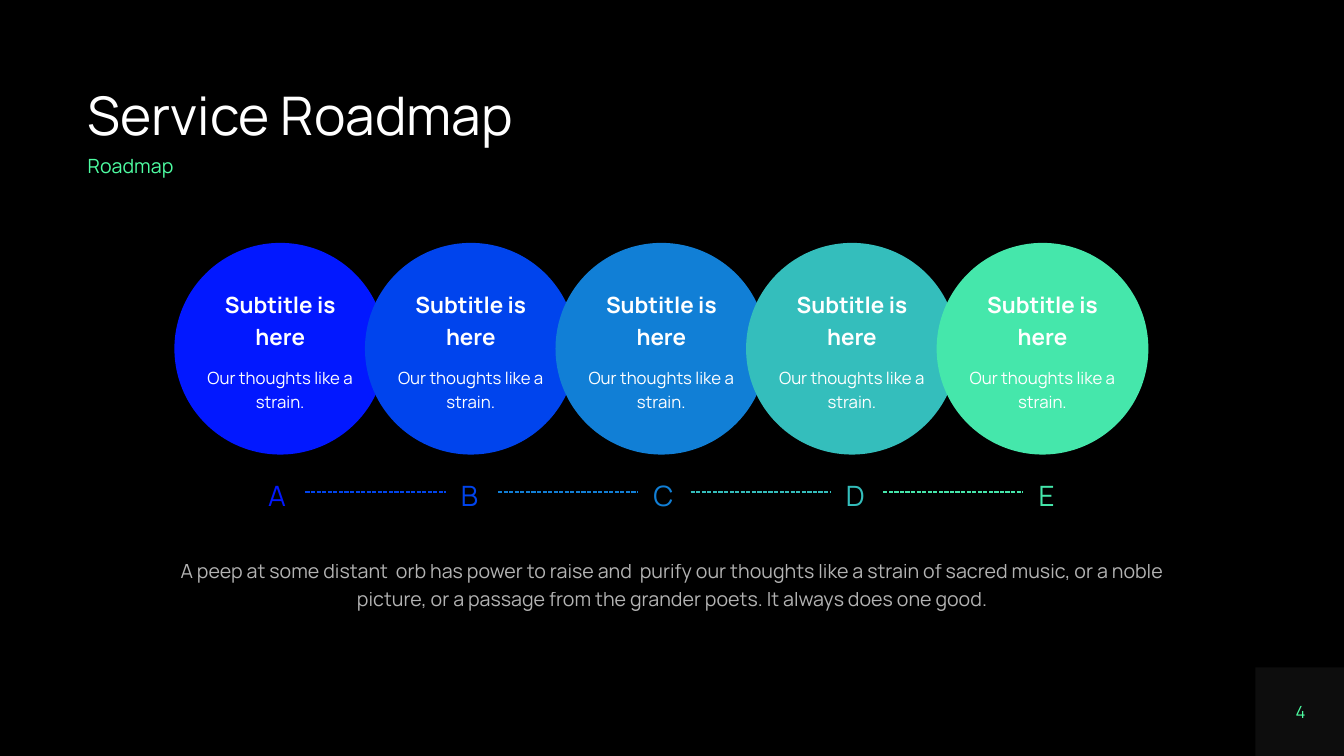
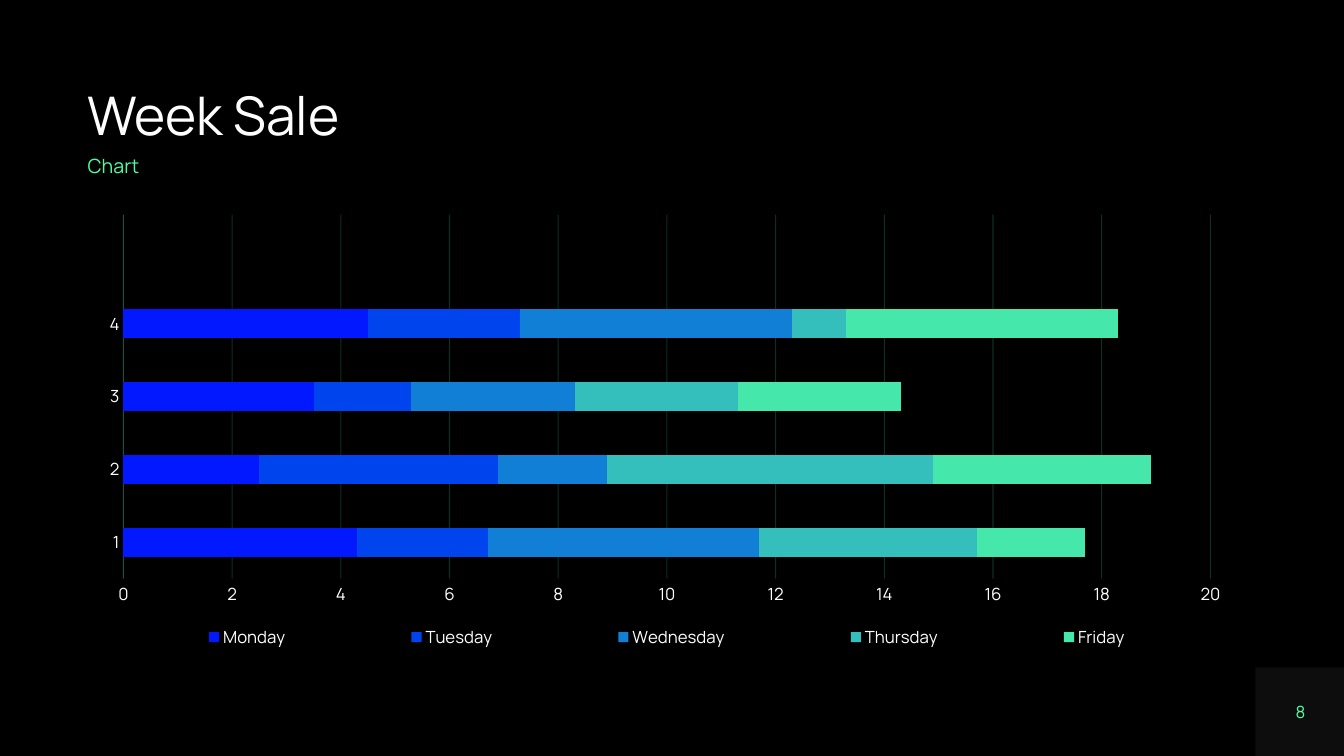
from lxml import etree
from pptx import Presentation
from pptx.chart.data import CategoryChartData
from pptx.dml.color import RGBColor
from pptx.enum.chart import XL_CHART_TYPE, XL_LEGEND_POSITION, XL_TICK_MARK
from pptx.enum.dml import MSO_LINE
from pptx.enum.shapes import MSO_CONNECTOR, MSO_SHAPE
from pptx.enum.text import MSO_ANCHOR, PP_ALIGN
from pptx.oxml.ns import qn
from pptx.util import Inches, Pt

FONT = "Manrope"
BLACK = RGBColor(0x00, 0x00, 0x00)
WHITE = RGBColor(0xFF, 0xFF, 0xFF)
GRAY = RGBColor(0x80, 0x80, 0x80)
ACCENT = RGBColor(0x4E, 0xFD, 0xA2)
MINT = RGBColor(0x45, 0xE7, 0xAB)
SCALE = [RGBColor(0x02, 0x18, 0xFF), RGBColor(0x00, 0x44, 0xED),
         RGBColor(0x11, 0x7F, 0xD6), RGBColor(0x34, 0xBE, 0xBC), MINT]
LEFT, CENTER = PP_ALIGN.LEFT, PP_ALIGN.CENTER
TOP, MIDDLE = MSO_ANCHOR.TOP, MSO_ANCHOR.MIDDLE
NO_TICK = XL_TICK_MARK.NONE

WIDTH, HEIGHT = 13.33, 7.5
MARGIN = 0.87
BADGE = 0.88

STEPS = [(letter, "Subtitle is here", "Our thoughts like a strain.") for letter in "ABCDE"]
SUMMARY = ("A peep at some distant  orb has power to raise and  purify our thoughts "
           "like a strain of sacred music, or a noble picture, or a passage from the "
           "grander poets. It always does one good.")
CIRCLE, CIRCLE_LEFT, CIRCLE_TOP, CIRCLE_STEP = 2.1, 1.73, 2.41, 1.89
LETTER_LEFT, LETTER_TOP, LETTER_STEP = 2.66, 4.68, 1.91
DASH_OFFSET, DASH_LENGTH, DASH_TOP = 0.37, 1.39, 4.88

WEEKS = ["1", "2", "3", "4", ""]
SALES = {
    "Monday": [4.3, 2.5, 3.5, 4.5, None],
    "Tuesday": [2.4, 4.4, 1.8, 2.8, None],
    "Wednesday": [5, 2, 3, 5, None],
    "Thursday": [4, 6, 3, 1, None],
    "Friday": [2, 4, 3, 5, None],
}


def inches(*lengths):
    return [Inches(length) for length in lengths]


def fade(element, percent):
    for color in element.iter(qn("a:srgbClr")):
        etree.SubElement(color, qn("a:alpha")).set("val", str(percent * 1000))


def style_font(font, size, color, bold=False):
    font.name = FONT
    font.size = Pt(size)
    font.bold = bold
    font.color.rgb = color


def write(shape, lines, align=LEFT, anchor=TOP, spacing=1.2, wrap=True):
    frame = shape.text_frame
    frame.margin_left = frame.margin_top = frame.margin_right = frame.margin_bottom = 0
    frame.word_wrap = wrap
    frame.vertical_anchor = anchor
    frame.text = "\n".join(line[0] for line in lines)
    for index, (para, line) in enumerate(zip(frame.paragraphs, lines)):
        para.alignment = align
        para.line_spacing = spacing
        para.space_before = Pt(10 if index else 0)
        style_font(para.runs[0].font, *line[1:])
    return frame


def add_text(page, place, text, size, color, **layout):
    box = page.shapes.add_textbox(*inches(*place))
    return write(box, [(text, size, color)], **layout)


def add_filled(page, kind, place, color):
    shape = page.shapes.add_shape(kind, *inches(*place))
    shape.shadow.inherit = False
    shape.fill.solid()
    shape.fill.fore_color.rgb = color
    shape.line.fill.background()
    return shape


def add_page(deck, title, subtitle, number):
    page = deck.slides.add_slide(deck.slide_layouts[6])
    page.background.fill.solid()
    page.background.fill.fore_color.rgb = BLACK
    corner = (WIDTH - BADGE, HEIGHT - BADGE, BADGE, BADGE)
    badge = add_filled(page, MSO_SHAPE.RECTANGLE, corner, GRAY)
    fade(badge.fill._xPr, 10)
    add_text(page, (MARGIN, 0.89, 11.59, 0.58), title, 38, WHITE, spacing=0.9)
    add_text(page, (MARGIN, 1.55, 2.1, 0.21), subtitle, 14, ACCENT, spacing=0.9)
    add_text(page, (12.78, 6.96, 0.24, 0.2), number, 12, ACCENT,
             align=CENTER, anchor=MIDDLE, spacing=1.0, wrap=False)
    return page


def add_dash(page, left, color):
    dash = page.shapes.add_connector(
        MSO_CONNECTOR.STRAIGHT, *inches(left, DASH_TOP, left + DASH_LENGTH, DASH_TOP))
    dash.line.color.rgb = color
    dash.line.width = Pt(1)
    dash.line.dash_style = MSO_LINE.SQUARE_DOT
    etree.SubElement(dash._element.spPr, qn("a:effectLst"))


def build_roadmap(deck):
    page = add_page(deck, "Service Roadmap", "Roadmap", "4")
    for index, ((letter, heading, detail), color) in enumerate(zip(STEPS, SCALE)):
        place = (CIRCLE_LEFT + index * CIRCLE_STEP, CIRCLE_TOP, CIRCLE, CIRCLE)
        circle = add_filled(page, MSO_SHAPE.OVAL, place, color)
        write(circle, [(heading, 16, WHITE, True), (detail, 12, WHITE)], CENTER, MIDDLE)
        left = LETTER_LEFT + index * LETTER_STEP
        add_text(page, (left, LETTER_TOP, 0.22, 0.4), letter, 20, color)
        if index + 1 < len(STEPS):
            add_dash(page, left + DASH_OFFSET, SCALE[index + 1])
    summary = add_text(page, (1.73, 5.5, 9.88, 0.55), SUMMARY, 14, WHITE, align=CENTER)
    fade(summary.paragraphs[0].runs[0]._r, 70)


def place_part(part, left, top, width, height, inner=False):
    layout = part.find(qn("c:layout"))
    if layout is None:
        layout = etree.Element(qn("c:layout"))
        part.insert(1 if part.tag == qn("c:legend") else 0, layout)
    manual = etree.SubElement(layout, qn("c:manualLayout"))
    settings = [("layoutTarget", "inner")] if inner else []
    settings += [("xMode", "edge"), ("yMode", "edge"),
                 ("x", left), ("y", top), ("w", width), ("h", height)]
    for name, value in settings:
        etree.SubElement(manual, qn("c:" + name)).set("val", str(value))


def style_rule(line):
    line.color.rgb = MINT
    line.width = Pt(0.75)
    fade(line._ln, 20)


def build_chart(deck):
    page = add_page(deck, "Week Sale", "Chart", "8")
    data = CategoryChartData()
    data.categories = WEEKS
    for day, values in SALES.items():
        data.add_series(day, values)
    chart = page.shapes.add_chart(
        XL_CHART_TYPE.BAR_STACKED, *inches(0.88, 2.04, 11.47, 4.46), data).chart
    chart.has_title = False
    style_font(chart.font, 10, WHITE)

    plot = chart.plots[0]
    plot.vary_by_categories = False
    plot.gap_width = 150
    plot.overlap = 100
    for series, color in zip(plot.series, SCALE):
        series.format.fill.solid()
        series.format.fill.fore_color.rgb = color

    weeks, amounts = chart.category_axis, chart.value_axis
    for axis in (weeks, amounts):
        axis.major_tick_mark = axis.minor_tick_mark = NO_TICK
        style_font(axis.tick_labels.font, 12, WHITE)
    style_rule(weeks.format.line)
    amounts.format.line.fill.background()
    amounts.minimum_scale, amounts.maximum_scale, amounts.major_unit = 0, 20, 2
    amounts.has_major_gridlines = True
    style_rule(amounts.major_gridlines.format.line)

    chart.has_legend = True
    chart.legend.position = XL_LEGEND_POSITION.BOTTOM
    chart.legend.include_in_layout = False
    style_font(chart.legend.font, 12, WHITE)
    space = chart._chartSpace
    place_part(space.find(".//" + qn("c:plotArea")), 0.03, 0.02, 0.94, 0.81, inner=True)
    place_part(space.find(".//" + qn("c:legend")), 0, 0.92, 1, 0.08)


def main():
    deck = Presentation()
    deck.slide_width, deck.slide_height = inches(WIDTH, HEIGHT)
    build_roadmap(deck)
    build_chart(deck)
    deck.save("out.pptx")


if __name__ == "__main__":
    main()
